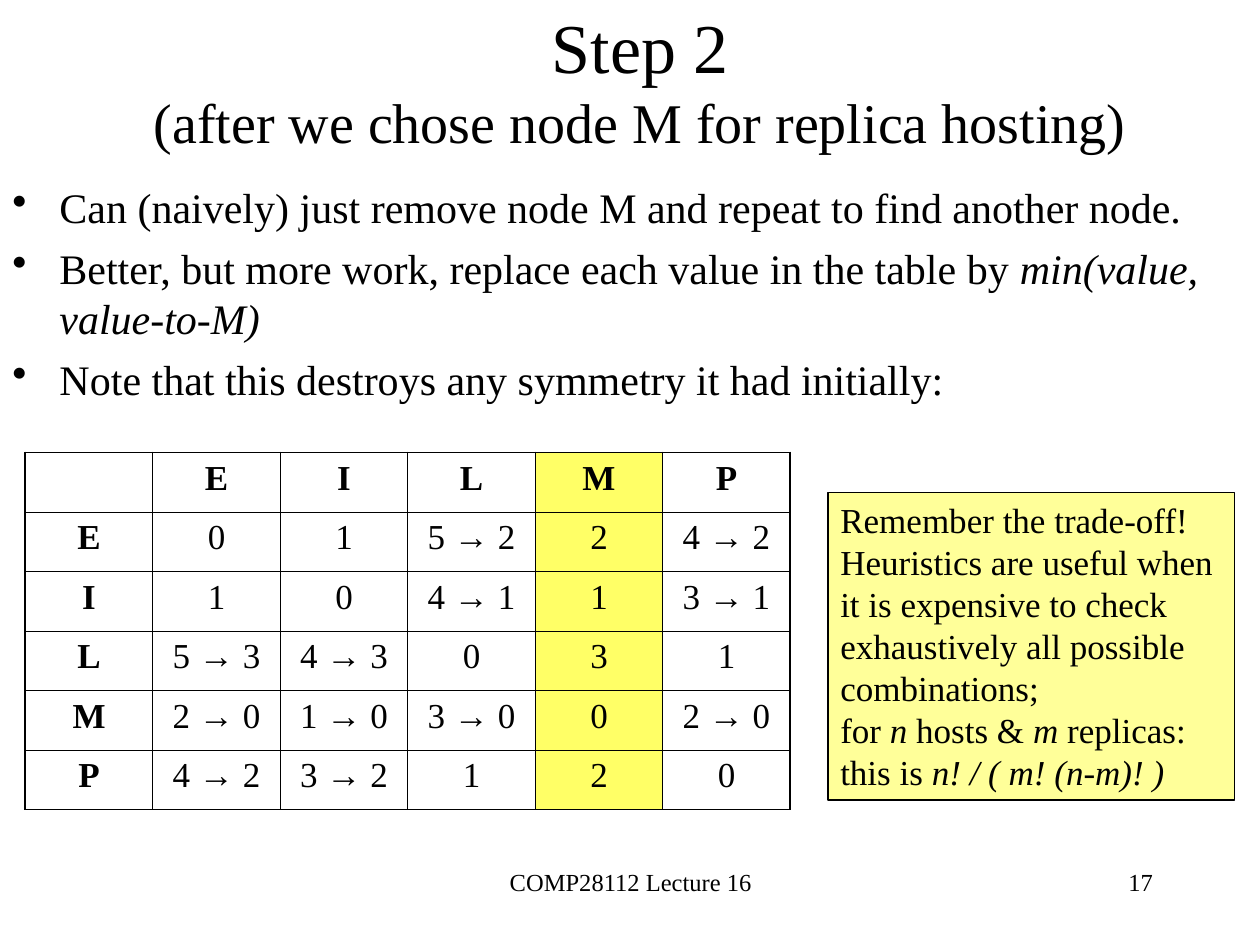
"""Build the replica placement slide showing step 2 of the heuristic."""
from lxml import etree
from pptx import Presentation
from pptx.dml.color import RGBColor
from pptx.enum.shapes import MSO_SHAPE
from pptx.enum.text import MSO_ANCHOR, MSO_AUTO_SIZE, PP_ALIGN
from pptx.oxml.ns import qn
from pptx.util import Cm, Pt

LEFT, CENTER, RIGHT = PP_ALIGN.LEFT, PP_ALIGN.CENTER, PP_ALIGN.RIGHT
TOP, MIDDLE = MSO_ANCHOR.TOP, MSO_ANCHOR.MIDDLE
RECTANGLE = MSO_SHAPE.RECTANGLE
GROW = MSO_AUTO_SIZE.SHAPE_TO_FIT_TEXT

THEME = {
    "font": "Times New Roman",
    "ink": "000000", "highlight": "FFFF66", "note": "FFFF99",
    "title": 40, "subtitle": 32, "body": 24, "table": 20, "footer": 14,
    "outer_line": 1.08, "inner_line": 0.45, "note_line": 0.75,
}

TITLE = ("Step 2", "(after we chose node M for replica hosting)")
BULLETS = [
    [("Can (naively) just remove node M and repeat to find another node.", False)],
    [("Better, but more work, replace each value in the table by ", False),
     ("min(value, value-to-M)", True)],
    [("Note that this destroys any symmetry it had initially:", False)],
]
NODES = ["E", "I", "L", "M", "P"]
CHOSEN = "M"
DISTANCES = [
    ["0", "1", "5 → 2", "2", "4 → 2"],
    ["1", "0", "4 → 1", "1", "3 → 1"],
    ["5 → 3", "4 → 3", "0", "3", "1"],
    ["2 → 0", "1 → 0", "3 → 0", "0", "2 → 0"],
    ["4 → 2", "3 → 2", "1", "2", "0"],
]
NOTE = [
    [("Remember the trade-off! Heuristics are useful when it is expensive "
      "to check exhaustively all possible combinations;", False)],
    [("for ", False), ("n", True), (" hosts & ", False), ("m", True),
     (" replicas: this is ", False), ("n! / ( m! (n-m)! )", True)],
]
FOOTERS = [
    ("COMP28112 Lecture 16", CENTER, (8.69, 17.35, 8.05, 1.27)),
    ("17", RIGHT, (18.21, 17.35, 5.28, 1.27)),
]

TITLE_BOX = (2.11, 0, 21.59, 3.18)
BODY_BOX = (0, 3.53, 25.4, 5)
NOTE_BOX = (16.69, 9.93, 8.2, 6.2)
TABLE_ORIGIN = (0.51, 9.12)
COLUMN_WIDTH, ROW_HEIGHT = 2.57, 1.2
BULLET_INDENT = Cm(0.95)


def color(name):
    return RGBColor.from_string(THEME[name])


def apply(target, values):
    for name, value in values.items():
        setattr(target, name, value)


def add_run(paragraph, text, size, **style):
    run = paragraph.add_run()
    run.text = text
    apply(run.font, {"name": THEME["font"], "size": Pt(THEME[size]), **style})
    run.font.color.rgb = color("ink")


def write(frame, paragraphs, size, **layout):
    for index, runs in enumerate(paragraphs):
        paragraph = frame.add_paragraph() if index else frame.paragraphs[0]
        apply(paragraph, layout)
        for text, italic in runs:
            add_run(paragraph, text, size, italic=italic)


def add_box(slide, box, anchor=TOP):
    frame = slide.shapes.add_textbox(*map(Cm, box)).text_frame
    apply(frame, {"word_wrap": True, "vertical_anchor": anchor})
    return frame


def add_bullet(paragraph):
    properties = paragraph._p.get_or_add_pPr()
    properties.set("marL", str(BULLET_INDENT))
    properties.set("indent", str(-BULLET_INDENT))
    etree.SubElement(properties, qn("a:buChar"), char="•")


def add_borders(cell, on_edge):
    properties = cell._tc.get_or_add_tcPr()
    for position, (side, outer) in enumerate(on_edge.items()):
        width = Pt(THEME["outer_line" if outer else "inner_line"])
        line = etree.Element(qn(f"a:ln{side}"), w=str(width))
        fill = etree.SubElement(line, qn("a:solidFill"))
        etree.SubElement(fill, qn("a:srgbClr"), val=THEME["ink"])
        properties.insert(position, line)


def add_title(slide):
    paragraph = add_box(slide, TITLE_BOX, MIDDLE).paragraphs[0]
    paragraph.alignment = CENTER
    add_run(paragraph, TITLE[0], "title")
    paragraph.add_line_break()
    add_run(paragraph, TITLE[1], "subtitle")


def add_bullets(slide):
    frame = add_box(slide, BODY_BOX)
    write(frame, BULLETS, "body", space_before=Pt(6))
    for paragraph in frame.paragraphs:
        add_bullet(paragraph)


def add_distances(slide):
    header = ["", *NODES]
    rows = [header] + [[node, *values] for node, values in zip(NODES, DISTANCES)]
    last = len(NODES)
    size = (COLUMN_WIDTH * len(header), ROW_HEIGHT * len(rows))
    table = slide.shapes.add_table(
        len(rows), len(header), *map(Cm, TABLE_ORIGIN + size)).table
    apply(table, {"first_row": False, "horz_banding": False})
    for column in table.columns:
        column.width = Cm(COLUMN_WIDTH)
    for row_index, values in enumerate(rows):
        table.rows[row_index].height = Cm(ROW_HEIGHT)
        for column_index, text in enumerate(values):
            cell = table.cell(row_index, column_index)
            if header[column_index] == CHOSEN:
                cell.fill.solid()
                cell.fill.fore_color.rgb = color("highlight")
            else:
                cell.fill.background()
            add_borders(cell, {"L": column_index == 0, "R": column_index == last,
                               "T": row_index == 0, "B": row_index == last})
            if text:
                paragraph = cell.text_frame.paragraphs[0]
                apply(paragraph, {"alignment": CENTER, "space_before": Pt(5)})
                add_run(paragraph, text, "table",
                        bold=row_index == 0 or column_index == 0)


def add_note(slide):
    shape = slide.shapes.add_shape(RECTANGLE, *map(Cm, NOTE_BOX))
    shape.shadow.inherit = False
    shape.fill.solid()
    shape.fill.fore_color.rgb = color("note")
    shape.line.color.rgb = color("ink")
    shape.line.width = Pt(THEME["note_line"])
    apply(shape.text_frame, {"word_wrap": True, "vertical_anchor": TOP,
                             "auto_size": GROW})
    write(shape.text_frame, NOTE, "table", alignment=LEFT)


def main():
    presentation = Presentation()
    apply(presentation, {"slide_width": Cm(25.4), "slide_height": Cm(19.05)})
    slide = presentation.slides.add_slide(presentation.slide_layouts[6])
    for text, alignment, box in FOOTERS:
        write(add_box(slide, box), [[(text, False)]], "footer", alignment=alignment)
    add_title(slide)
    add_bullets(slide)
    add_distances(slide)
    add_note(slide)
    presentation.save("out.pptx")


if __name__ == "__main__":
    main()
